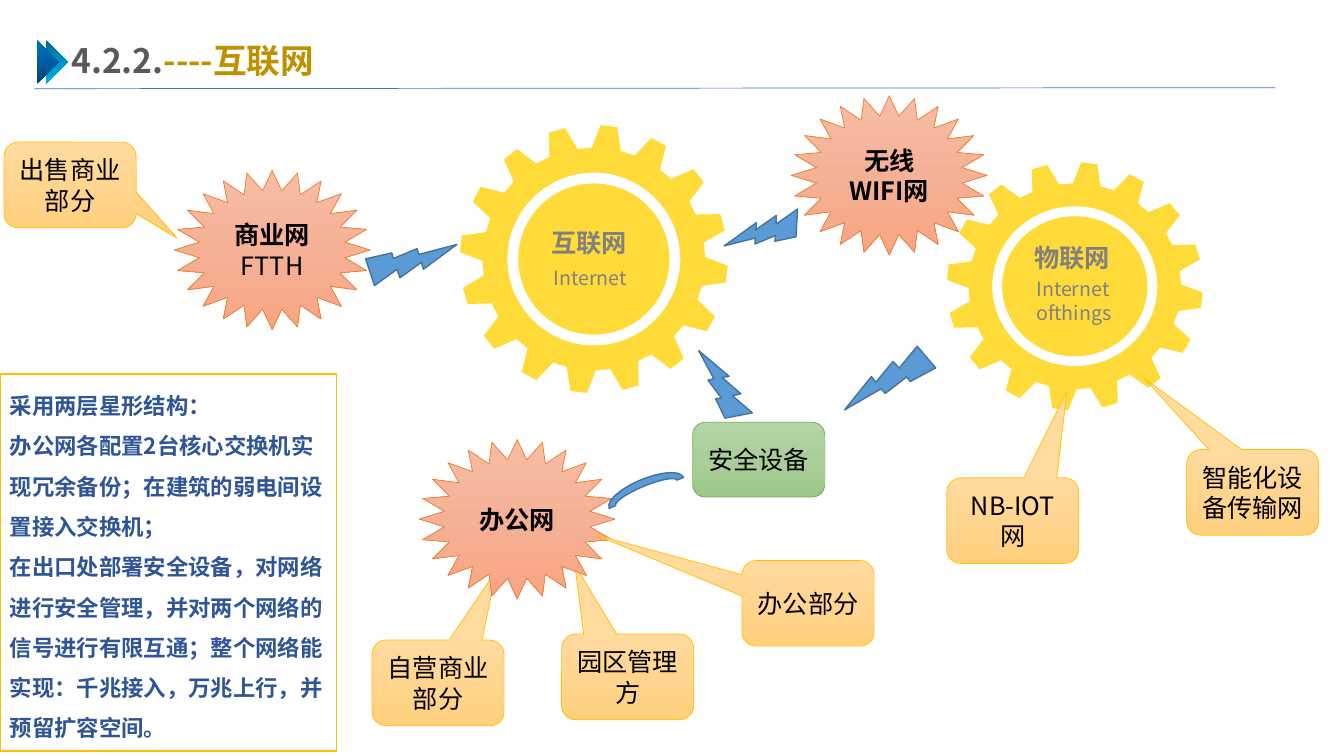
from copy import deepcopy
from dataclasses import dataclass
from math import cos, radians, sin

from lxml import etree
from pptx import Presentation
from pptx.dml.color import RGBColor
from pptx.enum.shapes import MSO_CONNECTOR, MSO_SHAPE as SHAPE
from pptx.enum.text import MSO_ANCHOR as ANCHOR, MSO_AUTO_SIZE as FIT, PP_ALIGN as ALIGN
from pptx.oxml.ns import qn
from pptx.util import Inches, Pt


@dataclass(frozen=True)
class Theme:
    font: str = "Noto Sans CJK SC"
    title_size: int = 24
    node_size: int = 18
    panel_size: int = 16
    note_size: int = 14
    black: str = "000000"
    white: str = "FFFFFF"
    title: str = "595959"
    title_accent: str = "BF9000"
    panel_text: str = "2F5597"
    label: str = "808080"
    gear: str = "FFDB39"
    gold: str = "FFC000"
    orange: str = "ED7D31"
    green: str = "70AD47"
    bolt: str = "5B9BD5"
    bolt_line: str = "43739E"
    rule: str = "4472C4"
    callout_fill: tuple = ("FFDB9E", "FFD590", "FFD07C")
    star_fill: tuple = ("F7BDA5", "F5B196", "F8A582")
    device_fill: tuple = ("B5D5A7", "AACE9A", "9CC987")
    light_arrow: tuple = ("00688E", "0094CA", "00B0F0")
    dark_arrow: tuple = ("004272", "005EA2", "0070C0")


theme = Theme()
deck = Presentation()
deck.slide_width, deck.slide_height = Inches(13.33), Inches(7.5)
page = deck.slides.add_slide(deck.slide_layouts[6])


def draw(kind, box, fill, line=None, width=0.5, turn=0, angle=270):
    """Add a preset shape; fill is one colour or three gradient colours."""
    shape = page.shapes.add_shape(kind, *map(Inches, box))
    shape.shadow.inherit = False
    shape.rotation = turn
    if isinstance(fill, str):
        shape.fill.solid()
        shape.fill.fore_color.rgb = RGBColor.from_string(fill)
    else:
        shape.fill.gradient()
        shape.fill.gradient_angle = angle
        first = shape._element.spPr.find(".//" + qn("a:gs"))
        first.addnext(deepcopy(first))
        for stop, colour, position in zip(shape.fill.gradient_stops, fill, (0, 0.5, 1)):
            stop.color.rgb = RGBColor.from_string(colour)
            stop.position = position
    if line:
        shape.line.color.rgb = RGBColor.from_string(line)
        shape.line.width = Pt(width)
    else:
        shape.line.fill.background()
    return shape


def write(shape, paragraphs, size, align=ALIGN.CENTER, anchor=ANCHOR.MIDDLE, spacing=None, wrap=True):
    """Fill a shape with paragraphs, each a list of (text, colour, bold) runs."""
    frame = shape.text_frame
    frame.word_wrap = wrap
    frame.vertical_anchor = anchor
    for index, runs in enumerate(paragraphs):
        para = frame.add_paragraph() if index else frame.paragraphs[0]
        para.alignment = align
        para.line_spacing = spacing
        for text, colour, bold in runs:
            span = para.add_run()
            span.text = text
            span.font.name = theme.font
            span.font.size = Pt(size)
            span.font.bold = bold
            span.font.color.rgb = RGBColor.from_string(colour)
            east_asian = etree.SubElement(span.font._element, qn("a:ea"))
            east_asian.set("typeface", theme.font)


# Heading
draw(SHAPE.RIGHT_TRIANGLE, (0.3, 0.46, 0.31, 0.31), theme.light_arrow, turn=225, angle=135)
draw(SHAPE.RIGHT_TRIANGLE, (0.21, 0.46, 0.31, 0.31), theme.dark_arrow, turn=225, angle=315)
rule = page.shapes.add_connector(
    MSO_CONNECTOR.STRAIGHT, Inches(0.34), Inches(0.88), Inches(12.65), Inches(0.87))
rule.line.color.rgb = RGBColor.from_string(theme.rule)
rule.line.width = Pt(0.5)
etree.SubElement(rule._element.spPr, qn("a:effectLst"))
title = page.shapes.add_textbox(Inches(0.61), Inches(0.35), Inches(2.71), Inches(0.5))
write(title, [[("4.2.2.", theme.title, True), ("----互联网", theme.title_accent, True)]],
      theme.title_size, ALIGN.LEFT, ANCHOR.TOP, wrap=False)
title.text_frame.auto_size = FIT.SHAPE_TO_FIT_TEXT

# Explanation panel
panel_lines = [
    "采用两层星形结构：",
    "办公网各配置2台核心交换机实现冗余备份；在建筑的弱电间设置接入交换机；",
    "在出口处部署安全设备，对网络进行安全管理，并对两个网络的信号进行有限互通；"
    "整个网络能实现：千兆接入，万兆上行，并预留扩容空间。",
]
panel = draw(SHAPE.RECTANGLE, (0, 3.71, 3.34, 3.74), theme.white, theme.gold, 1)
write(panel, [[(line, theme.panel_text, True)] for line in panel_lines],
      theme.panel_size, ALIGN.LEFT, ANCHOR.TOP, 1.5)

# Networks with their callouts, from back to front: left, top, text, pointer or bold flags
callout = (SHAPE.ROUNDED_RECTANGULAR_CALLOUT, 1.31, 0.85, theme.callout_fill, theme.gold)
star = (SHAPE.STAR_24_POINT, 1.94, 1.58, theme.star_fill, theme.orange)
device = (SHAPE.ROUNDED_RECTANGLE, 1.31, 0.74, theme.device_fill, theme.green)
networks = [
    (callout, 0.04, 1.41, [("出售商业部分", False)], (0.81, 0.62)),
    (callout, 3.69, 6.35, [("自营商业部分", False)], (0.44, -1.31)),
    (callout, 5.57, 6.29, [("园区管理方", False)], (-0.4, -1.31)),
    (star, 7.85, 0.95, [("无线WIFI网", True)], ()),
    (star, 1.73, 1.69, [("商业网", True), ("FTTH", False)], ()),
    (star, 4.16, 4.36, [("办公网", True)], ()),
    (callout, 7.36, 5.56, [("办公部分", False)], (-1.61, -0.8)),
    (device, 6.87, 4.19, [("安全设备", False)], ()),
]
gear_callouts = [
    (callout, 11.77, 4.46, [("智能化设备传输网", False)], (-0.82, -1.33)),
    (callout, 9.39, 4.74, [("NB-IOT网", False)], (0.41, -1.51)),
]

# Gears: centre, radii, disc radii, then labels as box, text, size, bold, wrap
gears = [
    (5.89, 2.57, 1.33, 1.33, 0.75, 0.75, [
        ((5.37, 2.21, 1.16, 0.46), "互联网", theme.node_size, True, False),
        ((5.39, 2.59, 0.98, 0.34), "Internet", theme.note_size, False, True)]),
    (10.66, 2.84, 1.27, 1.23, 0.72, 0.695, [
        ((10.16, 2.35, 0.99, 0.37), "物联网", theme.node_size, True, False),
        ((10.18, 2.7, 0.99, 0.57), "Internet ofthings", theme.note_size, False, True)]),
]
teeth, pitch, first_tooth = 16, 22.5, 6.5
tooth_profile = [(-7.5, 0.83), (-3.6, 1), (3.6, 1), (7.5, 0.83)]
rim = [(first_tooth + pitch * tooth + offset, reach)
       for tooth in range(teeth) for offset, reach in tooth_profile]
hole = [(degrees, 0.645) for degrees in range(360, 0, -4)]

for group in (networks, gears, gear_callouts):
    for item in group:
        if group is not gears:
            (kind, width, height, fill, line), left, top, runs, pointer = item
            node = draw(kind, (left, top, width, height), fill, line)
            for index, value in enumerate(pointer):
                node.adjustments[index] = value
            write(node, [[(text, theme.black, bold) for text, bold in runs]], theme.node_size)
            continue
        x, y, radius_x, radius_y, disc_x, disc_y, labels = item
        outlines = [[(Inches(x + radius_x * reach * cos(radians(degrees))),
                      Inches(y + radius_y * reach * sin(radians(degrees))))
                     for degrees, reach in outline] for outline in (rim, hole)]
        builder = page.shapes.build_freeform(*outlines[0][0])
        builder.add_line_segments(outlines[0][1:], close=True)
        builder.move_to(*outlines[1][0])
        builder.add_line_segments(outlines[1][1:], close=True)
        gear = builder.convert_to_shape()
        gear.shadow.inherit = False
        gear.fill.solid()
        gear.fill.fore_color.rgb = RGBColor.from_string(theme.gear)
        gear.line.fill.background()
        draw(SHAPE.OVAL, (x - disc_x, y - disc_y, 2 * disc_x, 2 * disc_y), theme.gear)
        for box, text, size, bold, wrap in labels:
            label = page.shapes.add_textbox(*map(Inches, box))
            write(label, [[(text, theme.label, bold)]], size, ALIGN.LEFT, ANCHOR.TOP, wrap=wrap)
            label.text_frame.auto_size = FIT.SHAPE_TO_FIT_TEXT

# Links between the networks
links = [
    (SHAPE.LIGHTNING_BOLT, (6.86, 3.54, 0.65, 0.6), 192.1),
    (SHAPE.LIGHTNING_BOLT, (3.75, 2.19, 0.6, 0.84), 284.5),
    (SHAPE.LIGHTNING_BOLT, (7.27, 1.98, 0.65, 0.6), 116.2),
    (SHAPE.BLOCK_ARC, (6.01, 4.75, 0.8, 0.28), 337.4),
    (SHAPE.LIGHTNING_BOLT, (8.53, 3.28, 0.58, 0.93), 86),
]
for kind, box, turn in links:
    draw(kind, box, theme.bolt, theme.bolt_line, 1, turn)

deck.save("out.pptx")
